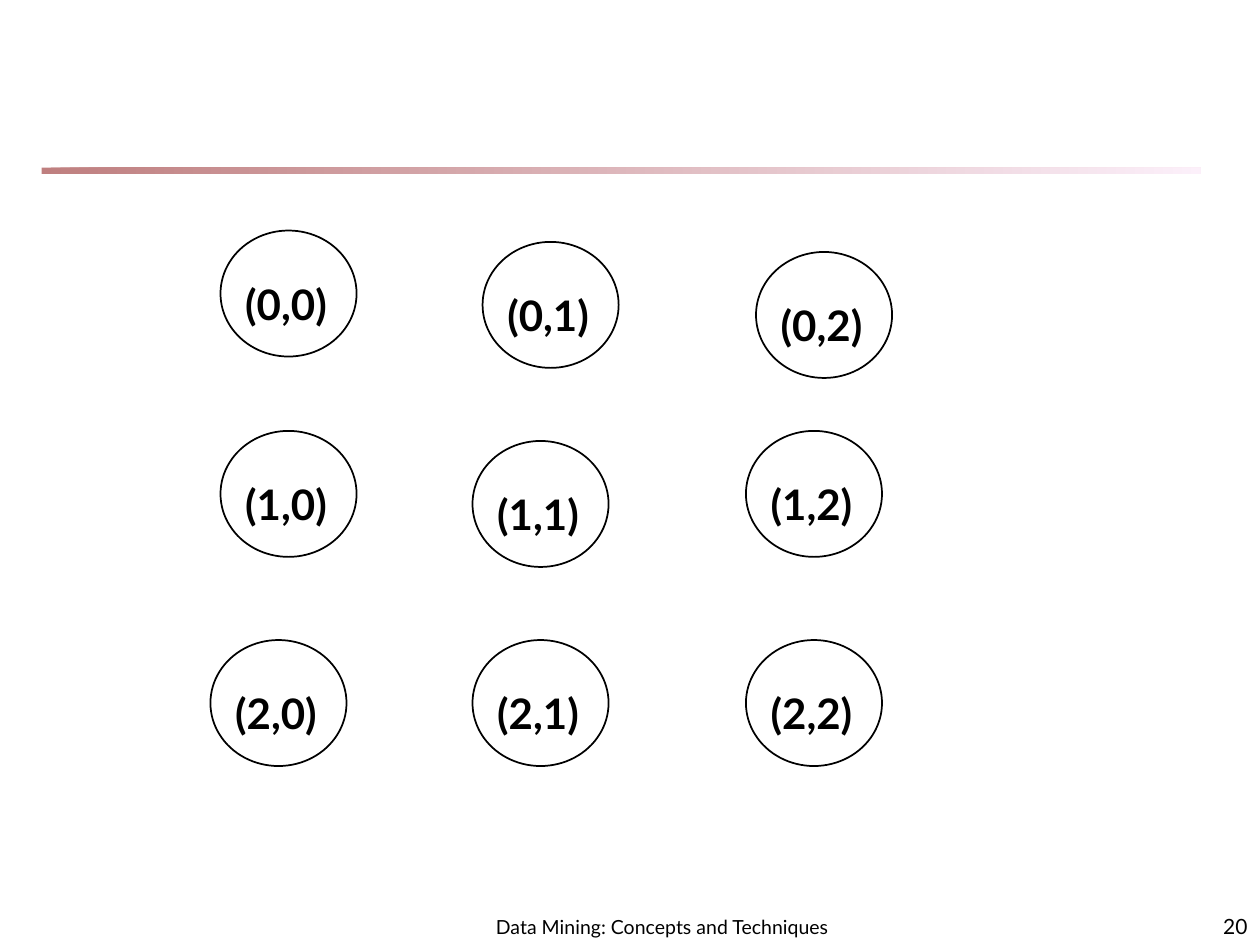
from dataclasses import dataclass

from pptx import Presentation
from pptx.dml.color import RGBColor
from pptx.enum.shapes import MSO_SHAPE as Shape
from pptx.enum.text import MSO_ANCHOR as Anchor, MSO_AUTO_SIZE as AutoSize, PP_ALIGN as Align
from pptx.oxml.ns import qn
from pptx.util import Inches, Pt


@dataclass(frozen=True)
class Theme:
    font: str = "Lato"
    ink: RGBColor = RGBColor(0x00, 0x00, 0x00)
    rule_start: RGBColor = RGBColor(0x80, 0x00, 0x00)
    rule_end: RGBColor = RGBColor(0xFA, 0xE2, 0xF6)
    rule_alpha: str = "50000"
    node_size: float = 24
    footer_size: float = 11.1
    number_size: float = 12
    outline: float = 1


class SlideBuilder:
    """Holds the theme and the current slide."""

    def __init__(self, slide, theme):
        self.slide = slide
        self.theme = theme

    def gradient_rule(self, left, top, width, height):
        rule = self.slide.shapes.add_shape(
            Shape.RECTANGLE, Inches(left), Inches(top), Inches(width), Inches(height))
        rule.shadow.inherit = False
        rule.line.fill.background()
        rule.fill.gradient()
        rule.fill.gradient_angle = 0
        colors = (self.theme.rule_start, self.theme.rule_end)
        for position, (stop, color) in enumerate(zip(rule.fill.gradient_stops, colors)):
            stop.position = position
            stop.color.rgb = color
        # Half-transparent gradient stops
        for color in rule.element.spPr.iter(qn("a:srgbClr")):
            alpha = color.makeelement(qn("a:alpha"), {"val": self.theme.rule_alpha})
            color.append(alpha)

    def text(self, words, left, top, width, height, size, align,
             bold=False, anchor=Anchor.TOP, wrap=True, shapes=None):
        shapes = self.slide.shapes if shapes is None else shapes
        box = shapes.add_textbox(Inches(left), Inches(top), Inches(width), Inches(height))
        frame = box.text_frame
        frame.word_wrap = wrap
        frame.auto_size = AutoSize.NONE if wrap else AutoSize.SHAPE_TO_FIT_TEXT
        frame.vertical_anchor = anchor
        paragraph = frame.paragraphs[0]
        paragraph.text = words
        paragraph.alignment = align
        paragraph.font.name = self.theme.font
        paragraph.font.size = Pt(size)
        paragraph.font.bold = bold
        paragraph.font.color.rgb = self.theme.ink
        return paragraph

    def node(self, label, left, top):
        members = self.slide.shapes.add_group_shape().shapes
        circle = members.add_shape(
            Shape.OVAL, Inches(left), Inches(top), Inches(1.08), Inches(1))
        circle.shadow.inherit = False
        circle.fill.background()
        circle.line.color.rgb = self.theme.ink
        circle.line.width = Pt(self.theme.outline)
        self.text(label, left + 0.07, top + 0.33, 0.9, 0.5, self.theme.node_size,
                  Align.CENTER, bold=True, wrap=False, shapes=members)


def main():
    deck = Presentation()
    deck.slide_width, deck.slide_height = Inches(10), Inches(7.5)
    theme = Theme()
    builder = SlideBuilder(deck.slides.add_slide(deck.slide_layouts[6]), theme)

    # Rule under the empty heading area
    builder.gradient_rule(0.33, 1.33, 9.2, 0.05)

    # Footer and slide number
    footer = builder.text("Data Mining: Concepts and Techniques", 3.67, 7.08, 3.17, 0.42,
                          theme.footer_size, Align.CENTER, anchor=Anchor.BOTTOM)
    footer.line_spacing = 0.9
    builder.text("20", 7.92, 7.08, 2.08, 0.42,
                 theme.number_size, Align.RIGHT, anchor=Anchor.BOTTOM)

    # Loosely placed 3 x 3 lattice of nodes, labelled (row,column)
    lattice = [
        [(1.75, 1.83), (3.83, 1.92), (6, 2)],
        [(1.75, 3.42), (3.75, 3.5), (5.92, 3.42)],
        [(1.67, 5.08), (3.75, 5.08), (5.92, 5.08)],
    ]
    for row, corners in enumerate(lattice):
        for column, (left, top) in enumerate(corners):
            builder.node(f"({row},{column})", left, top)

    deck.save("out.pptx")


if __name__ == "__main__":
    main()
